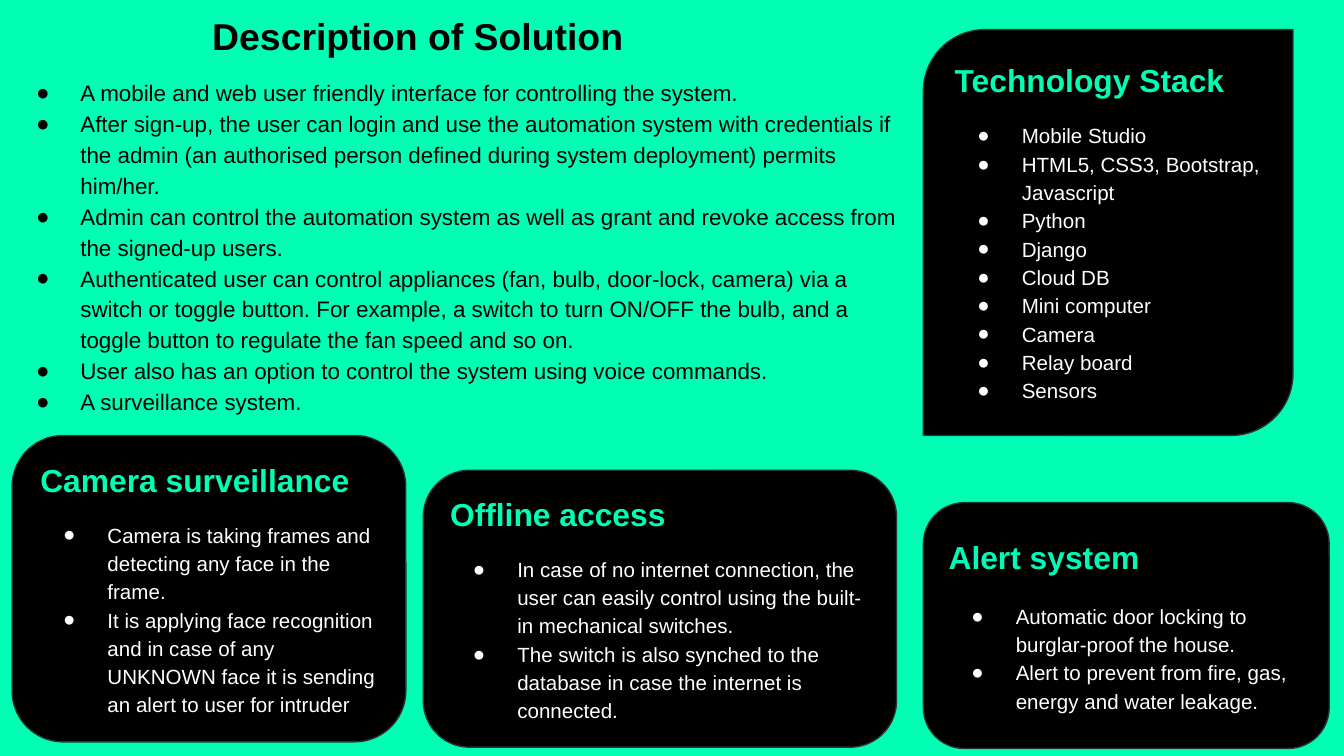
from lxml import etree
from pptx import Presentation
from pptx.dml.color import RGBColor
from pptx.enum.shapes import MSO_SHAPE as Shape
from pptx.enum.text import MSO_ANCHOR as Anchor, MSO_AUTO_SIZE as AutoSize, PP_ALIGN as Align
from pptx.oxml.ns import qn
from pptx.util import Inches, Pt

COLORS = {"mint": "00FFB4", "alert": "00FBB9", "black": "000000", "white": "FFFFFF", "outline": "303030"}

TITLE = "Description of Solution"
DESCRIPTION = [
    "A mobile and web user friendly interface for controlling the system.",
    "After sign-up, the user can login and use the automation system with credentials if the admin "
    "(an authorised person defined during system deployment) permits him/her.",
    "Admin can control the automation system as well as grant and revoke access from the signed-up users.",
    "Authenticated user can control appliances (fan, bulb, door-lock, camera) via a switch or toggle button. "
    "For example, a switch to turn ON/OFF the bulb, and a toggle button to regulate the fan speed and so on.",
    "User also has an option to control the system using voice commands.",
    "A surveillance system.",
]
# heading, heading colour, preset, anchor, (left, top, width, height), gap in points, bullets
CARDS = [
    ("Technology Stack", "mint", Shape.ROUND_2_DIAG_RECTANGLE, Anchor.TOP, (6.87, 0.22, 2.75, 3.02), 11,
     ["Mobile Studio", "HTML5, CSS3, Bootstrap, Javascript", "Python", "Django", "Cloud DB",
      "Mini computer", "Camera", "Relay board", "Sensors"]),
    ("Camera surveillance", "mint", Shape.ROUNDED_RECTANGLE, Anchor.MIDDLE, (0.09, 3.24, 2.93, 2.28), 11,
     ["Camera is taking frames and detecting any face in the frame.",
      "It is applying face recognition and in case of any UNKNOWN face it is sending "
      "an alert to user for intruder"]),
    ("Offline access", "mint", Shape.ROUNDED_RECTANGLE, Anchor.MIDDLE, (3.15, 3.5, 3.52, 2.06), 11,
     ["In case of no internet connection, the user can easily control using the built-in mechanical switches.",
      "The switch is also synched to the database in case the internet is connected."]),
    ("Alert system", "alert", Shape.ROUNDED_RECTANGLE, Anchor.MIDDLE, (6.87, 3.74, 3.02, 1.83), 13,
     ["Automatic door locking to burglar-proof the house.",
      "Alert to prevent from fire, gas, energy and water leakage."]),
]


def rgb(name):
    return RGBColor.from_string(COLORS[name])


def place(shape, box):
    shape.left, shape.top, shape.width, shape.height = map(Inches, box)


def prepare_frame(shape, anchor):
    frame = shape.text_frame
    frame.word_wrap = True
    frame.auto_size = AutoSize.NONE
    frame.vertical_anchor = anchor
    frame.margin_left = frame.margin_right = frame.margin_top = frame.margin_bottom = Inches(0.1)
    return frame


def write(paragraph, text, size, color, bold=False, align=Align.LEFT, spacing=1.0):
    paragraph.text = text
    paragraph.alignment = align
    paragraph.line_spacing = spacing
    paragraph.space_before = Pt(0)
    font = paragraph.font
    font.name, font.size, font.bold = "Arial", Pt(size), bold
    font.color.rgb = rgb(color)


def write_bullet(paragraph, text, size, color):
    properties = paragraph._p.get_or_add_pPr()
    properties.set("marL", str(Inches(0.5)))
    properties.set("indent", str(Inches(-0.33)))
    bullet_color = etree.SubElement(properties, qn("a:buClr"))
    etree.SubElement(bullet_color, qn("a:srgbClr"), val=COLORS[color])
    etree.SubElement(properties, qn("a:buFont"), typeface="Arial")
    etree.SubElement(properties, qn("a:buChar"), char="●")
    write(paragraph, text, size, color, spacing=1.15)


def add_card(slide, heading, heading_color, preset, anchor, box, gap, bullets):
    card = slide.shapes.add_shape(preset, *map(Inches, box))
    card.adjustments[0] = 0.167
    card.shadow.inherit = False
    card.fill.solid()
    card.fill.fore_color.rgb = rgb("black")
    card.line.color.rgb = rgb("outline")
    card.line.width = Pt(0.75)
    frame = prepare_frame(card, anchor)
    write(frame.paragraphs[0], heading, 17, heading_color, bold=True)
    for bullet in bullets:
        write_bullet(frame.add_paragraph(), bullet, 11, "white")
    frame.paragraphs[1].space_before = Pt(gap)


def main():
    presentation = Presentation()
    presentation.slide_width = Inches(10)
    presentation.slide_height = presentation.slide_width * 9 // 16
    slide = presentation.slides.add_slide(presentation.slide_layouts[5])
    slide.background.fill.solid()
    slide.background.fill.fore_color.rgb = rgb("mint")

    title = slide.shapes.title
    place(title, (0.57, 0, 5.08, 0.39))
    write(prepare_frame(title, Anchor.TOP).paragraphs[0], TITLE, 20, "black", bold=True, align=Align.CENTER)

    description = slide.shapes.add_textbox(*map(Inches, (0, 0.46, 6.83, 2.62)))
    frame = prepare_frame(description, Anchor.TOP)
    for index, text in enumerate(DESCRIPTION):
        paragraph = frame.add_paragraph() if index else frame.paragraphs[0]
        write_bullet(paragraph, text, 12, "black")

    for card in CARDS:
        add_card(slide, *card)
    presentation.save("out.pptx")


if __name__ == "__main__":
    main()
